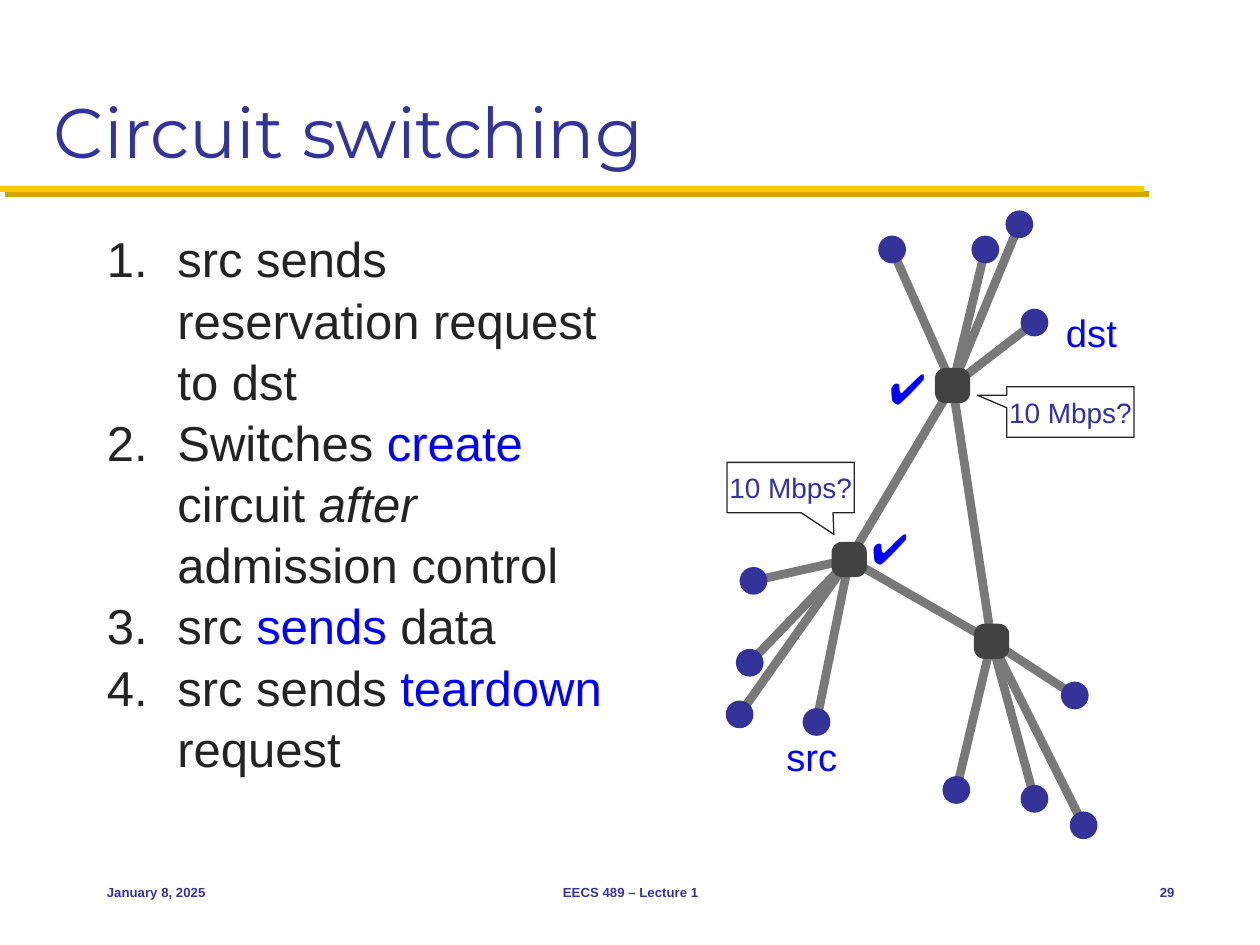
from pptx import Presentation
from pptx.dml.color import RGBColor
from pptx.enum.shapes import MSO_CONNECTOR, MSO_SHAPE
from pptx.enum.text import MSO_ANCHOR, PP_ALIGN
from pptx.oxml.ns import qn
from pptx.util import Inches, Pt
from lxml import etree

STRAIGHT = MSO_CONNECTOR.STRAIGHT
OVAL, ROUNDED = MSO_SHAPE.OVAL, MSO_SHAPE.ROUNDED_RECTANGLE
CALLOUT = MSO_SHAPE.RECTANGULAR_CALLOUT
TOP, MIDDLE, BOTTOM = MSO_ANCHOR.TOP, MSO_ANCHOR.MIDDLE, MSO_ANCHOR.BOTTOM
LEFT, CENTER, RIGHT = PP_ALIGN.LEFT, PP_ALIGN.CENTER, PP_ALIGN.RIGHT

COLORS = {
    "navy": "333399", "ink": "232323", "blue": "0000FF", "gold": "FFCB05",
    "dark_gold": "D3A600", "link": "797979", "switch": "424242",
}

STEPS = [
    [("src sends reservation request to dst", "ink", False)],
    [("Switches ", "ink", False), ("create", "blue", False),
     (" circuit ", "ink", False), ("after", "ink", True),
     (" admission control", "ink", False)],
    [("src ", "ink", False), ("sends", "blue", False), (" data", "ink", False)],
    [("src sends ", "ink", False), ("teardown", "blue", False),
     (" request", "ink", False)],
]

# Centres of the switches and of the hosts attached to each, in inches
SWITCHES = {"west": (6.74, 4.44), "south": (7.87, 5.09), "north": (7.56, 3.06)}
HOSTS = {
    "west": [(5.98, 4.61), (5.95, 5.26), (5.87, 5.67), (6.48, 5.73)],
    "south": [(7.59, 6.27), (8.21, 6.34), (8.6, 6.55), (8.53, 5.52)],
    "north": [(7.08, 1.98), (7.82, 1.98), (8.09, 1.78), (8.21, 2.56)],
}
TRUNKS = [("west", "north"), ("west", "south"), ("north", "south")]
HOST_SIZE, SWITCH_SIZE = 0.22, 0.28


def color(name):
    return RGBColor.from_string(COLORS[name])


def style_font(font, size, name, face="Arial"):
    font.size = Pt(size)
    font.name = face
    font.color.rgb = color(name)


def add_text(page, box, text, size, name, face="Arial", anchor=TOP,
             align=LEFT, inset=(0.1, 0.05), wrap=False, bold=False):
    frame = page.shapes.add_textbox(*map(Inches, box)).text_frame
    frame.word_wrap = wrap
    frame.vertical_anchor = anchor
    frame.margin_left = frame.margin_right = Inches(inset[0])
    frame.margin_top = frame.margin_bottom = Inches(inset[1])
    frame.text = text
    para = frame.paragraphs[0]
    para.alignment = align
    style_font(para.runs[0].font, size, name, face)
    para.runs[0].font.bold = bold


def add_line(page, start, end, name, width):
    """Draw a straight line and return its empty effect list."""
    line = page.shapes.add_connector(STRAIGHT, *map(Inches, (*start, *end)))
    line.line.color.rgb = color(name)
    line.line.width = Pt(width)
    return etree.SubElement(line._element.spPr, qn("a:effectLst"))


def add_title(page, box):
    add_text(page, box, "Circuit switching", 40, "navy", "Montserrat",
             anchor=BOTTOM, wrap=True)


def add_rule(page, start, end):
    """Draw the gold rule with its hard offset shadow."""
    effects = add_line(page, start, end, "gold", 3.5)
    shadow = etree.SubElement(effects, qn("a:outerShdw"), dist=str(Pt(4.2)),
                              dir="2700000", algn="ctr", rotWithShape="0")
    etree.SubElement(shadow, qn("a:srgbClr"), val=COLORS["dark_gold"])


def add_steps(page, box):
    frame = page.shapes.add_textbox(*map(Inches, box)).text_frame
    frame.word_wrap = True
    for index, step in enumerate(STEPS):
        para = frame.paragraphs[0] if index == 0 else frame.add_paragraph()
        para.line_spacing = 1.04
        properties = para._p.get_or_add_pPr()
        properties.set("marL", str(Inches(0.56)))
        properties.set("indent", str(Inches(-0.56)))
        etree.SubElement(properties, qn("a:buFont"), typeface="Arial")
        etree.SubElement(properties, qn("a:buAutoNum"), type="arabicPeriod")
        for text, name, italic in step:
            span = para.add_run()
            span.text = text
            style_font(span.font, 28, name)
            span.font.italic = italic


def add_node(page, kind, center, size, name):
    left, top = (value - size / 2 for value in center)
    node = page.shapes.add_shape(kind, *map(Inches, (left, top, size, size)))
    node.shadow.inherit = False
    node.fill.solid()
    node.fill.fore_color.rgb = color(name)
    node.line.fill.background()
    return node


def add_network(page):
    links = [(SWITCHES[start], SWITCHES[end]) for start, end in TRUNKS]
    links += [(SWITCHES[key], host) for key in HOSTS for host in HOSTS[key]]
    for start, end in links:
        add_line(page, start, end, "link", 5)
    for hosts in HOSTS.values():
        for center in hosts:
            add_node(page, OVAL, center, HOST_SIZE, "navy")
    for center in SWITCHES.values():
        add_node(page, ROUNDED, center, SWITCH_SIZE, "switch").adjustments[0] = 0.3


def add_callout(page, box, tip):
    callout = page.shapes.add_shape(CALLOUT, *map(Inches, box))
    callout.shadow.inherit = False
    callout.adjustments[0], callout.adjustments[1] = tip
    callout.fill.background()
    callout.line.color.rgb = color("ink")
    callout.line.width = Pt(0.75)
    frame = callout.text_frame
    frame.word_wrap = False
    frame.vertical_anchor = MIDDLE
    frame.text = "10 Mbps?"
    para = frame.paragraphs[0]
    para.alignment = CENTER
    style_font(para.runs[0].font, 16, "navy")


def add_annotations(page):
    for text, left, top in (("dst", 8.42, 2.41), ("src", 6.2, 5.78)):
        add_text(page, (left, top, 0.49, 0.45), text, 21.8, "blue",
                 anchor=MIDDLE, inset=(0.04, 0.04))
    add_callout(page, (5.77, 3.67, 1.01, 0.4), (0.34, 0.93))
    add_callout(page, (7.99, 3.07, 1.01, 0.4), (-0.73, -0.33))
    for left, top in ((6.82, 4.1), (6.96, 2.83)):
        add_text(page, (left, top, 0.54, 0.5), "✔️", 24, "blue", "Calibri")


def add_footer(page, top, height):
    for text, left, width, align in (
        ("January 8, 2025", 0.75, 2.08, LEFT),
        ("EECS 489 – Lecture 1", 3.42, 3.17, CENTER),
        ("29", 8.75, 0.67, RIGHT),
    ):
        add_text(page, (left, top, width, height), text, 7.5, "navy",
                 anchor=MIDDLE, align=align, wrap=True, bold=True)


def main():
    deck = Presentation()
    deck.slide_width, deck.slide_height = Inches(10), Inches(7.5)
    page = deck.slides.add_slide(deck.slide_layouts[6])
    add_rule(page, (0, 1.5), (9.08, 1.5))
    add_title(page, (0.33, 0.17, 9.33, 1.25))
    add_steps(page, (0.75, 1.75, 4.25, 4.83))
    add_network(page)
    add_annotations(page)
    add_footer(page, 6.83, 0.5)
    deck.save("out.pptx")


if __name__ == "__main__":
    main()
